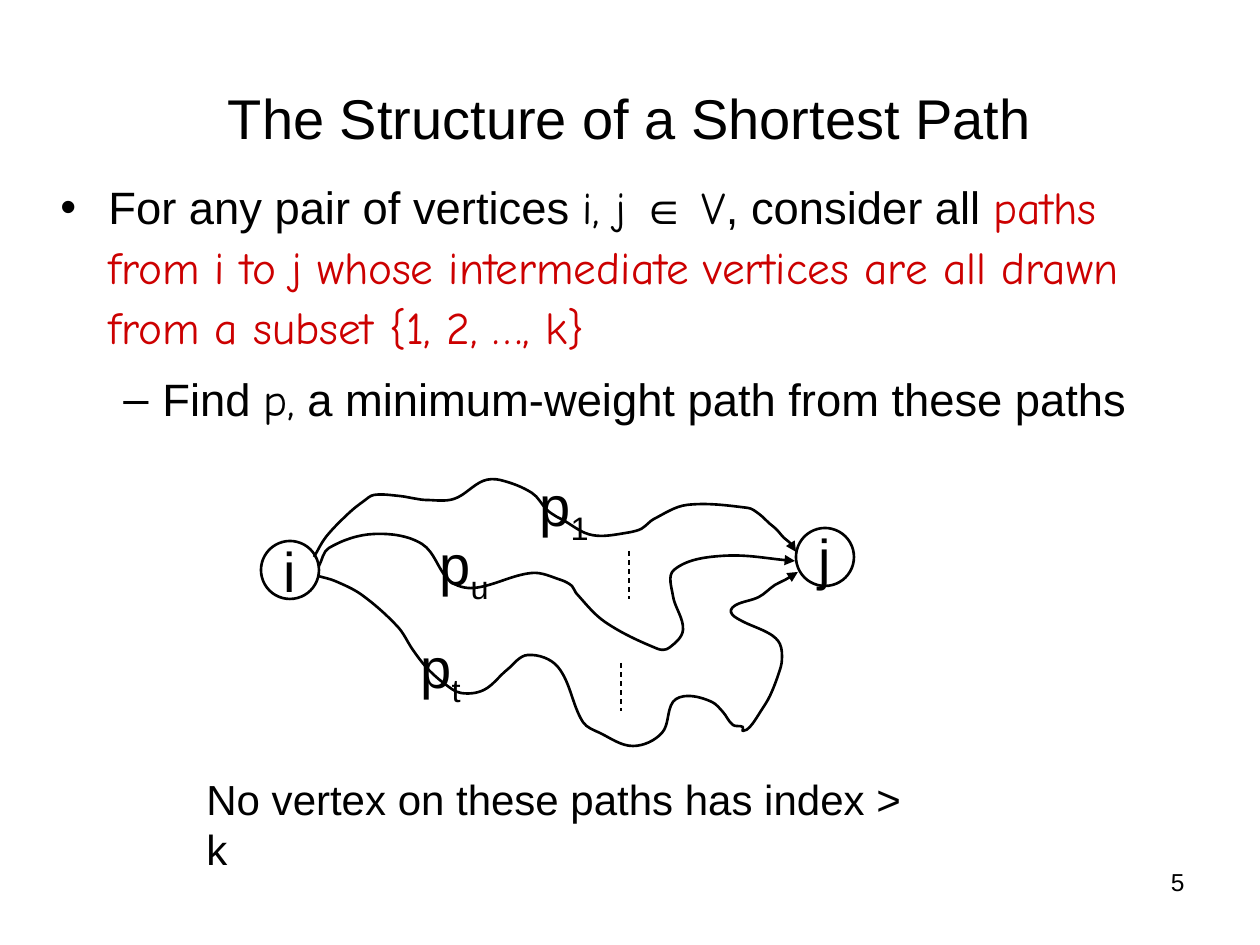
import math

from lxml import etree
from pptx import Presentation
from pptx import util as u
from pptx.dml.color import RGBColor
from pptx.enum import dml, shapes, text
from pptx.oxml import ns

COLORS = {"ink": "000000", "accent": "CC0000"}
SANS, HAND = "Arial", "Comic Neue"
PX_PER_INCH = 126

PATH_1 = [
    (314, 557), (326, 537), (349, 513), (364, 501), (374, 495), (399, 496),
    (417, 499), (425, 500), (454, 499), (483, 481), (500, 480), (532, 493),
    (547, 510), (557, 517), (563, 520), (585, 533), (601, 536), (626, 533),
    (639, 530), (644, 527), (654, 519), (687, 505), (748, 508), (759, 514),
    (770, 524), (776, 529), (784, 538), (790, 543), (796, 552),
]
PATH_U = [
    (319, 566), (329, 548), (374, 534), (422, 544), (450, 581), (474, 588),
    (532, 573), (561, 580), (572, 586), (576, 593), (605, 622), (658, 649),
    (669, 648), (683, 630), (673, 596), (674, 570), (721, 556), (795, 561),
]
PATH_T = [
    (318, 576), (335, 581), (362, 595), (398, 627), (413, 650), (427, 668),
    (445, 684), (461, 693), (484, 690), (507, 670), (528, 655), (558, 667),
    (583, 722), (600, 733), (633, 746), (662, 733), (673, 702), (688, 696),
    (712, 702), (723, 712), (733, 725), (743, 727), (743, 731), (750, 727),
    (761, 711), (770, 696), (779, 673), (782, 660), (780, 644), (770, 634),
    (740, 620), (731, 612), (736, 605), (759, 597), (775, 585), (785, 580),
    (798, 572),
]


def px(value):
    return u.Emu(round(value * 914400 / PX_PER_INCH))


def child(parent, tag, **attributes):
    return etree.SubElement(parent, ns.qn(tag), attributes)


def control_point(anchor, before, after, reach):
    dx, dy = after[0] - before[0], after[1] - before[1]
    length = math.hypot(dx, dy) or 1
    return anchor[0] + dx / length * reach, anchor[1] + dy / length * reach


class SlideBuilder:
    def __init__(self, slide):
        self.slide = slide

    def style_font(self, font, size=None, name=SANS, color="ink"):
        if size:
            font.size = u.Pt(size)
        font.name = name
        font.color.rgb = RGBColor.from_string(COLORS[color])

    def style_line(self, shape, width):
        shape.line.color.rgb = RGBColor.from_string(COLORS["ink"])
        shape.line.width = u.Pt(width)

    def title(self, words, box):
        shape = self.slide.shapes.title
        shape.left, shape.top, shape.width, shape.height = map(px, box)
        shape.text_frame.text = words
        shape.text_frame.vertical_anchor = text.MSO_ANCHOR.MIDDLE
        paragraph = shape.text_frame.paragraphs[0]
        paragraph.alignment = text.PP_ALIGN.CENTER
        self.style_font(paragraph.font, 32)

    def text_box(self, words, box, size, align=text.PP_ALIGN.LEFT, subscript=""):
        frame = self.slide.shapes.add_textbox(*map(px, box)).text_frame
        frame.word_wrap = False
        paragraph = frame.paragraphs[0]
        paragraph.alignment = align
        paragraph.add_run().text = words
        if subscript:
            run = paragraph.add_run()
            run.text = subscript
            run._r.get_or_add_rPr().set("baseline", "-25000")
        self.style_font(paragraph.font, size)

    def bullets(self, items, box, size):
        frame = self.slide.shapes.add_textbox(*map(px, box)).text_frame
        frame.word_wrap = True
        for index, (symbol, margin, hanging, runs) in enumerate(items):
            paragraph = frame.add_paragraph() if index else frame.paragraphs[0]
            properties = paragraph._p.get_or_add_pPr()
            properties.set("marL", str(px(margin)))
            properties.set("indent", str(-px(hanging)))
            paragraph.level = min(index, 1)
            paragraph.line_spacing = 1.1
            if index:
                paragraph.space_before = u.Pt(7)
            bullet_color = child(properties, "a:buClr")
            child(bullet_color, "a:srgbClr", val=COLORS["ink"])
            child(properties, "a:buFont", typeface=SANS)
            child(properties, "a:buChar", char=symbol)
            paragraph.font.size = u.Pt(size)
            for words, name, color in runs:
                run = paragraph.add_run()
                run.text = words
                self.style_font(run.font, size, name, color)

    def vertex(self, label, left, top, diameter=58):
        box = map(px, (left, top, diameter, diameter))
        shape = self.slide.shapes.add_shape(shapes.MSO_SHAPE.OVAL, *box)
        shape.shadow.inherit = False
        shape.fill.background()
        self.style_line(shape, 1.5)
        frame = shape.text_frame
        frame.word_wrap = False
        frame.vertical_anchor = text.MSO_ANCHOR.MIDDLE
        paragraph = frame.paragraphs[0]
        paragraph.alignment = text.PP_ALIGN.CENTER
        paragraph.text = label
        self.style_font(paragraph.font, 32)

    def curved_arrow(self, points):
        start, *rest = [(px(x), px(y)) for x, y in points]
        builder = self.slide.shapes.build_freeform(*start)
        builder.add_line_segments(rest, close=False)
        shape = builder.convert_to_shape()
        shape.shadow.inherit = False
        shape.fill.background()
        self.style_line(shape, 1.5)
        self.smooth(shape)
        child(shape.line._get_or_add_ln(), "a:tailEnd", type="triangle")

    def smooth(self, shape):
        outline = shape._element.find(".//" + ns.qn("a:path"))
        nodes = list(outline.iter(ns.qn("a:pt")))
        anchors = [(int(node.get("x")), int(node.get("y"))) for node in nodes]
        padded = [anchors[0], *anchors, anchors[-1]]
        for segment in outline.findall(ns.qn("a:lnTo")):
            outline.remove(segment)
        for before, start, end, after in zip(padded, padded[1:], padded[2:], padded[3:]):
            reach = math.dist(start, end) / 3
            curve = child(outline, "a:cubicBezTo")
            for x, y in (control_point(start, before, end, reach),
                         control_point(end, start, after, -reach), end):
                child(curve, "a:pt", x=str(round(x)), y=str(round(y)))

    def dashed_line(self, x, top, bottom):
        ends = map(px, (x, top, x, bottom))
        line = self.slide.shapes.add_connector(shapes.MSO_CONNECTOR.STRAIGHT, *ends)
        self.style_line(line, 0.75)
        line.line.dash_style = dml.MSO_LINE.DASH
        child(line._element.spPr, "a:effectLst")


def main():
    presentation = Presentation()
    presentation.slide_width, presentation.slide_height = px(1260), px(945)
    slide = presentation.slides.add_slide(presentation.slide_layouts[5])
    builder = SlideBuilder(slide)

    builder.text_box("5", (903, 861, 294, 66), 14, text.PP_ALIGN.RIGHT)
    builder.title("The Structure of a Shortest Path", (63, 38, 1134, 158))
    builder.bullets([
        ("•", 48, 48, [
            ("For any pair of vertices ", SANS, "ink"),
            ("i, j ", HAND, "ink"),
            ("∈", SANS, "ink"),
            (" V", HAND, "ink"),
            (", consider all ", SANS, "ink"),
            ("paths from i to j whose intermediate vertices are all drawn "
             "from a subset {1, 2, …, k}", HAND, "accent"),
        ]),
        ("–", 102, 39, [
            ("Find ", SANS, "ink"),
            ("p,", HAND, "ink"),
            (" a minimum-weight path from these paths", SANS, "ink"),
        ]),
    ], (48, 168, 1134, 338), 25.9)

    builder.vertex("i", 261, 541)
    builder.vertex("j", 796, 528)
    for points in (PATH_U, PATH_1, PATH_T):
        builder.curved_arrow(points)
    builder.text_box("No vertex on these paths has index > k", (194, 767, 752, 63), 24)
    for x, top in ((629, 551), (621, 663)):
        builder.dashed_line(x, top, top + 48)
    for subscript, left, top in (("1", 527, 464), ("u", 427, 523), ("t", 408, 626)):
        builder.text_box("p", (left, top, 74, 89), 32, subscript=subscript)

    presentation.save("out.pptx")


if __name__ == "__main__":
    main()
